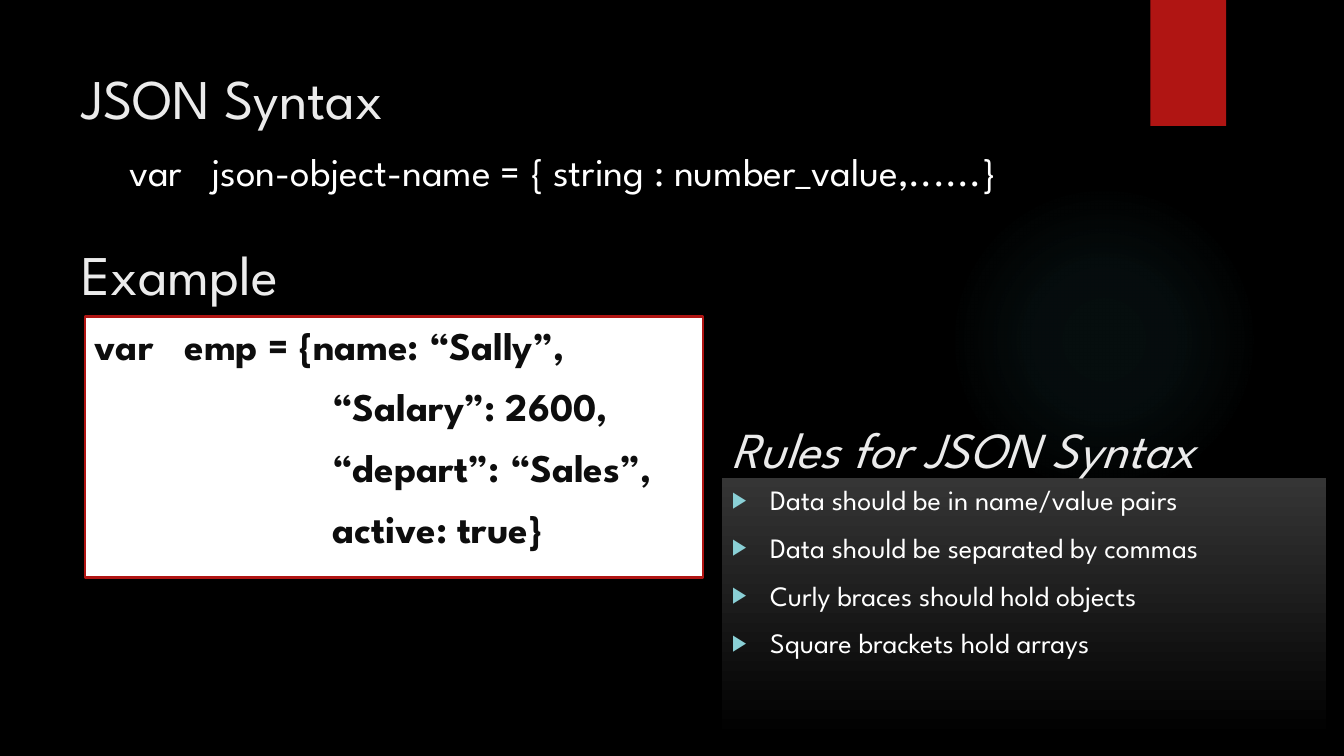
from dataclasses import dataclass

from lxml import etree
from pptx import Presentation
from pptx.dml.color import RGBColor
from pptx.enum.shapes import MSO_SHAPE
from pptx.enum.text import MSO_ANCHOR, MSO_AUTO_SIZE, PP_ALIGN
from pptx.oxml.ns import qn
from pptx.util import Inches, Pt

RECTANGLE, OVAL = MSO_SHAPE.RECTANGLE, MSO_SHAPE.OVAL
TOP, MIDDLE = MSO_ANCHOR.TOP, MSO_ANCHOR.MIDDLE
NO_AUTOFIT = MSO_AUTO_SIZE.NONE
LEFT = PP_ALIGN.LEFT

SLIDE_WIDTH, SLIDE_HEIGHT = Inches(13.33), Inches(7.5)
TWO_CONTENT_LAYOUT = 3
FONT = "League Spartan"
COLORS = {
    "background": "000000",
    "accent": "B01513",
    "glow": "50B9C1",
    "heading": "EBEBEB",
    "text": "FFFFFF",
    "code": "0D0D0D",
    "code_fill": "FFFFFF",
    "panel_top": "353535",
    "panel_bottom": "000000",
    "bullet": "8AD0D6",
}


@dataclass
class Box:
    """A place on the slide, in percent of its width and height."""
    left: float
    top: float
    width: float
    height: float

    def place(self, shape) -> None:
        shape.left, shape.top, shape.width, shape.height = self.lengths()

    def lengths(self) -> tuple[int, int, int, int]:
        return (int(SLIDE_WIDTH * self.left / 100), int(SLIDE_HEIGHT * self.top / 100),
                int(SLIDE_WIDTH * self.width / 100), int(SLIDE_HEIGHT * self.height / 100))


@dataclass
class TextStyle:
    size: int
    color: str
    bold: bool = False
    italic: bool = False
    anchor: MSO_ANCHOR = TOP
    space_before: int = 10


HEADING = TextStyle(40, "heading", anchor=MIDDLE, space_before=0)
RULES_HEADING = TextStyle(36, "heading", italic=True, anchor=MIDDLE, space_before=0)
SYNTAX = TextStyle(28, "text")
CODE = TextStyle(28, "code", bold=True)
RULE = TextStyle(20, "text")

GLOW_BOX = Box(70.59, 24.4, 23.1, 41.07)
RIBBON_BOX = Box(85.6, 0, 5.63, 16.67)
TITLE_BOX = Box(5.33, 6.67, 77.19, 12.27)
SYNTAX_BOX = Box(8.85, 18.8, 83.42, 7.33)
EXAMPLE_BOX = Box(5.33, 30, 40.5, 12.27)
CODE_BOX = Box(6.3, 41.87, 45.99, 34.53)
RULES_HEADING_BOX = Box(53.71, 53.2, 44.94, 12.27)
RULES_BOX = Box(53.71, 63.2, 44.94, 34.53)

SYNTAX_LINE = "var   json-object-name = { string : number_value,......}"
CODE_LINES = [
    "var   emp = {name: “Sally”,",
    "                       “Salary”: 2600,",
    "                       “depart”: “Sales”,",
    "                       active: true}",
]
RULES = [
    "Data should be in name/value pairs",
    "Data should be separated by commas",
    "Curly braces should hold objects",
    "Square brackets hold arrays",
]


def rgb(name: str) -> RGBColor:
    return RGBColor.from_string(COLORS[name])


def set_bullet(paragraph, bulleted: bool) -> None:
    properties = paragraph._p.get_or_add_pPr()
    indent = Inches(0.38) if bulleted else 0
    properties.set("marL", str(indent))
    properties.set("indent", str(-indent))
    if not bulleted:
        etree.SubElement(properties, qn("a:buNone"))
        return
    color = etree.SubElement(properties, qn("a:buClr"))
    etree.SubElement(color, qn("a:srgbClr"), val=COLORS["bullet"])
    etree.SubElement(properties, qn("a:buSzPct"), val="80000")
    etree.SubElement(properties, qn("a:buFont"), typeface="Arial")
    etree.SubElement(properties, qn("a:buChar"), char="▶")


def write(shape, lines: list[str], style: TextStyle, bulleted: bool = False) -> None:
    frame = shape.text_frame
    frame.text = "\n".join(lines)
    frame.word_wrap = True
    frame.auto_size = NO_AUTOFIT
    frame.vertical_anchor = style.anchor
    for index, paragraph in enumerate(frame.paragraphs):
        set_bullet(paragraph, bulleted)
        paragraph.alignment = LEFT
        paragraph.space_before = Pt(style.space_before if index else 0)
        for run in paragraph.runs:
            font = run.font
            font.name, font.size = FONT, Pt(style.size)
            font.bold, font.italic = style.bold, style.italic
            font.color.rgb = rgb(style.color)


def add_filled(slide, kind: MSO_SHAPE, box: Box, fill: str):
    shape = slide.shapes.add_shape(kind, *box.lengths())
    shape.shadow.inherit = False
    shape.fill.solid()
    shape.fill.fore_color.rgb = rgb(fill)
    shape.line.fill.background()
    return shape


def add_heading(slide, box: Box, text: str, style: TextStyle) -> None:
    write(slide.shapes.add_textbox(*box.lengths()), [text], style)


def add_glow(slide) -> None:
    """Add the faint circle that fades out from its centre."""
    glow = add_filled(slide, OVAL, GLOW_BOX, "glow")
    solid = glow._element.spPr.find(qn("a:solidFill"))
    gradient = etree.Element(qn("a:gradFill"), rotWithShape="1")
    stops = etree.SubElement(gradient, qn("a:gsLst"))
    for position, opacity in ((0, 7), (36, 6), (69, 0)):
        stop = etree.SubElement(stops, qn("a:gs"), pos=str(position * 1000))
        color = etree.SubElement(stop, qn("a:srgbClr"), val=COLORS["glow"])
        etree.SubElement(color, qn("a:alpha"), val=str(opacity * 1000))
    circle = etree.SubElement(gradient, qn("a:path"), path="circle")
    etree.SubElement(circle, qn("a:fillToRect"), l="50000", t="50000", r="50000", b="50000")
    solid.getparent().replace(solid, gradient)


def fill_panel(shape) -> None:
    shape.fill.gradient()
    shape.fill.gradient_angle = 270
    for stop, name, position in zip(shape.fill.gradient_stops,
                                    ("panel_top", "panel_bottom"), (0, 1)):
        stop.color.rgb = rgb(name)
        stop.position = position


def main() -> None:
    presentation = Presentation()
    presentation.slide_width, presentation.slide_height = SLIDE_WIDTH, SLIDE_HEIGHT
    slide = presentation.slides.add_slide(presentation.slide_layouts[TWO_CONTENT_LAYOUT])
    slide.background.fill.solid()
    slide.background.fill.fore_color.rgb = rgb("background")
    title, syntax, rules = slide.placeholders

    add_glow(slide)
    add_filled(slide, RECTANGLE, RIBBON_BOX, "accent")
    for placeholder in (title, syntax, rules):
        slide.shapes._spTree.append(placeholder._element)

    TITLE_BOX.place(title)
    write(title, ["JSON Syntax"], HEADING)
    SYNTAX_BOX.place(syntax)
    write(syntax, [SYNTAX_LINE], SYNTAX)
    RULES_BOX.place(rules)
    fill_panel(rules)
    write(rules, RULES, RULE, bulleted=True)

    add_heading(slide, EXAMPLE_BOX, "Example", HEADING)
    code = add_filled(slide, RECTANGLE, CODE_BOX, "code_fill")
    code.line.color.rgb = rgb("accent")
    code.line.width = Pt(1.5)
    write(code, CODE_LINES, CODE)
    add_heading(slide, RULES_HEADING_BOX, "Rules for JSON Syntax", RULES_HEADING)

    presentation.save("out.pptx")


if __name__ == "__main__":
    main()
